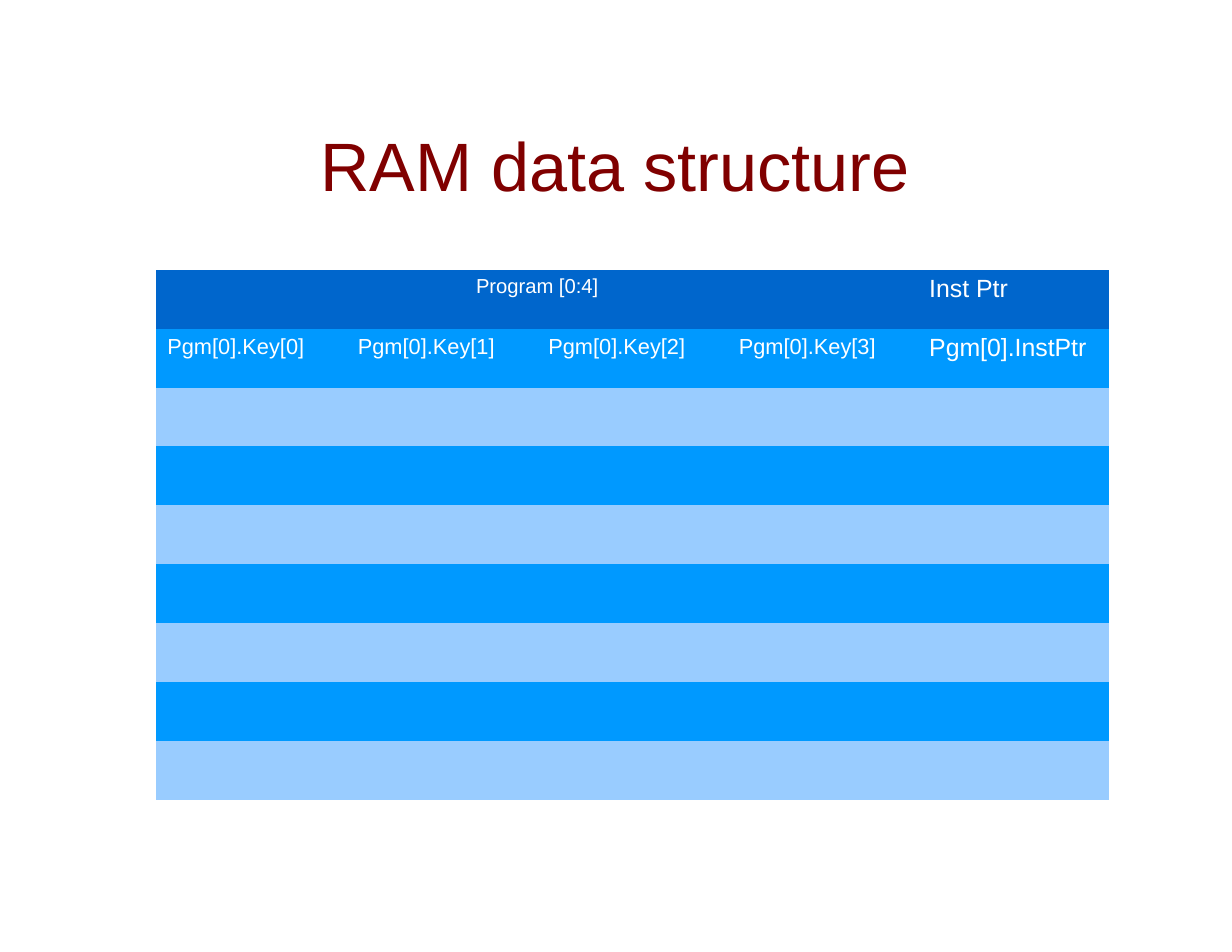
from dataclasses import dataclass

from pptx import Presentation
from pptx.dml.color import RGBColor
from pptx.enum.text import MSO_ANCHOR, PP_ALIGN
from pptx.oxml.ns import qn
from pptx.slide import Slide
from pptx.table import Table
from pptx.text.text import TextFrame
from pptx.util import Cm, Pt

HEADER, DARK_BAND, LIGHT_BAND = "0066CC", "0099FF", "99CCFF"
WHITE, MAROON = "FFFFFF", "800000"
NO_STYLE = "{2D5ABB26-0587-4C30-8999-92F81FD0307C}"
ROWS, COLS = 9, 5
KEYS = COLS - 1


@dataclass
class Label:
    row: int
    col: int
    text: str
    size: int
    align: PP_ALIGN = PP_ALIGN.LEFT


LABELS = [
    Label(0, 0, "Program [0:4]", 13, PP_ALIGN.CENTER),
    Label(0, KEYS, "Inst Ptr", 16),
    *(Label(1, i, f"Pgm[0].Key[{i}]", 14) for i in range(KEYS)),
    Label(1, KEYS, "Pgm[0].InstPtr", 16),
]


def rgb(color: str) -> RGBColor:
    return RGBColor.from_string(color)


def write(tf: TextFrame, text: str, size: int, color: str, align: PP_ALIGN) -> None:
    p = tf.paragraphs[0]
    p.text = text
    p.alignment = align
    p.font.name = "Arial"
    p.font.size = Pt(size)
    p.font.bold = False
    p.font.color.rgb = rgb(color)


def add_title(s: Slide) -> None:
    tf = s.shapes.add_textbox(Cm(2.84), Cm(2.51), Cm(22.23), Cm(2.41)).text_frame
    tf.word_wrap = True
    tf.vertical_anchor = MSO_ANCHOR.MIDDLE
    tf.margin_left = tf.margin_right = tf.margin_top = tf.margin_bottom = 0
    write(tf, "RAM data structure", 44, MAROON, PP_ALIGN.CENTER)


def band_color(row: int) -> str:
    if row == 0:
        return HEADER
    return DARK_BAND if row % 2 else LIGHT_BAND


def add_ram_table(s: Slide) -> Table:
    frame = s.shapes.add_table(ROWS, COLS, Cm(3.54), Cm(6.12), Cm(21.6), Cm(12.02))
    table = frame.table
    next(frame.element.iter(qn("a:tableStyleId"))).text = NO_STYLE
    for row, table_row in enumerate(table.rows):
        for cell in table_row.cells:
            cell.fill.solid()
            cell.fill.fore_color.rgb = rgb(band_color(row))
    table.cell(0, 0).merge(table.cell(0, KEYS - 1))
    for label in LABELS:
        tf = table.cell(label.row, label.col).text_frame
        write(tf, label.text, label.size, WHITE, label.align)
    return table


def main() -> None:
    prs = Presentation()
    prs.slide_width, prs.slide_height = Cm(27.94), Cm(21.59)
    s = prs.slides.add_slide(prs.slide_layouts[6])
    add_title(s)
    add_ram_table(s)
    prs.save("out.pptx")


if __name__ == "__main__":
    main()
